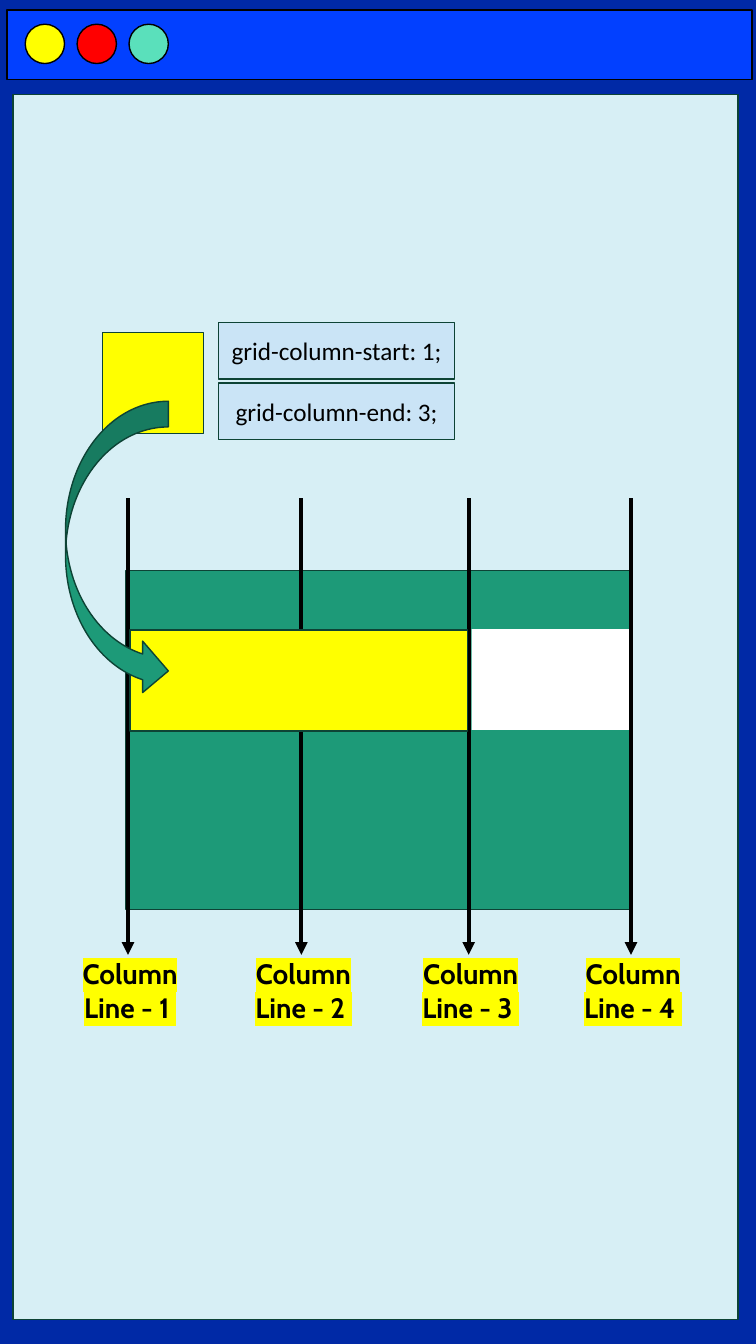
"""Build a portrait slide that explains grid-column-start and grid-column-end."""
from lxml import etree
from pptx import Presentation
from pptx.dml.color import RGBColor
from pptx.enum import shapes, text
from pptx.oxml import ns
from pptx.util import Inches, Pt

COLOURS = {
    "backdrop": "0029A6", "bar": "0240FF", "page": "D7EFF5", "code": "CAE4F6",
    "grid": "1D9A78", "edge": "0D4335", "yellow": "FFFF00", "red": "FF0000",
    "mint": "5AE0BB", "white": "FFFFFF", "black": "000000",
}
KIND = shapes.MSO_SHAPE
COLUMN_LINES = [1.27, 2.99, 4.65, 6.26]
LINE_TOP, LINE_BOTTOM = 4.94, 9.47
LABEL_WIDTH = 1.68


def colour(name):
    return RGBColor.from_string(COLOURS[name])


def add_block(parent, kind, box, fill, edge="edge"):
    block = parent.add_shape(kind, *map(Inches, box))
    block.shadow.inherit = False
    block.fill.solid()
    block.fill.fore_color.rgb = colour(fill)
    if edge:
        block.line.color.rgb = colour(edge)
        block.line.width = Pt(1)
    else:
        block.line.fill.background()
    return block


def write(holder, words, font_name, size, bold=False):
    frame = holder.text_frame
    frame.word_wrap = True
    frame.vertical_anchor = text.MSO_ANCHOR.MIDDLE
    paragraph = frame.paragraphs[0]
    paragraph.alignment = text.PP_ALIGN.CENTER
    run = paragraph.add_run()
    run.text = words
    font = paragraph.font
    font.name, font.size, font.bold = font_name, Pt(size), bold
    font.color.rgb = colour("black")
    return run


def highlight(run, name):
    mark = etree.SubElement(run.font._element, ns.qn("a:highlight"))
    etree.SubElement(mark, ns.qn("a:srgbClr"), val=COLOURS[name])


def add_column_line(parent, x, number):
    arrow = parent.add_connector(
        shapes.MSO_CONNECTOR.STRAIGHT,
        Inches(x), Inches(LINE_TOP), Inches(x), Inches(LINE_BOTTOM))
    arrow.line.color.rgb = colour("black")
    arrow.line.width = Pt(3)
    etree.SubElement(arrow.line._get_or_add_ln(), ns.qn("a:tailEnd"), type="triangle")
    etree.SubElement(arrow._element.spPr, ns.qn("a:effectLst"))

    label = parent.add_textbox(
        Inches(x + 0.02 - LABEL_WIDTH / 2), Inches(9.61), Inches(LABEL_WIDTH), Inches(0.43))
    highlight(write(label, f"Column Line - {number} ", "Cabin", 20, bold=True), "yellow")


def add_window(slide):
    title_bar = slide.shapes.add_group_shape().shapes
    add_block(title_bar, KIND.RECTANGLE, (0.07, 0.1, 7.39, 0.69), "bar", "black")
    for index, button in enumerate(["yellow", "red", "mint"]):
        add_block(title_bar, KIND.OVAL, (0.25 + 0.515 * index, 0.24, 0.39, 0.39), button, "black")
    add_block(slide.shapes, KIND.RECTANGLE, (0.13, 0.94, 7.19, 12.15), "page")


def add_code(slide):
    rules = slide.shapes.add_group_shape().shapes
    for index, rule in enumerate(["grid-column-start: 1;", "grid-column-end: 3;"]):
        box = add_block(rules, KIND.RECTANGLE, (2.17, 3.2 + 0.6 * index, 2.34, 0.56), "code")
        write(box, rule, "Calibri", 18)


def add_grid(slide):
    grid = slide.shapes.add_group_shape().shapes
    add_block(grid, KIND.RECTANGLE, (1.25, 5.66, 5.01, 3.36), "grid")
    for start, end in zip(COLUMN_LINES, COLUMN_LINES[1:]):
        add_block(grid, KIND.RECTANGLE, (start + 0.03, 6.24, end - start - 0.05, 1), "white", None)
    for number, x in enumerate(COLUMN_LINES, 1):
        add_column_line(grid, x, number)
    add_block(grid, KIND.RECTANGLE, (1.29, 6.25, 3.35, 1), "yellow")


def main():
    deck = Presentation()
    deck.slide_width, deck.slide_height = Inches(7.5), Inches(13.33)
    slide = deck.slides.add_slide(deck.slide_layouts[6])
    slide.background.fill.solid()
    slide.background.fill.fore_color.rgb = colour("backdrop")
    add_window(slide)
    add_code(slide)
    add_grid(slide)
    add_block(slide.shapes, KIND.RECTANGLE, (1.02, 3.3, 1, 1), "yellow")
    add_block(slide.shapes, KIND.CURVED_RIGHT_ARROW, (0.65, 3.98, 1.02, 2.93), "grid")
    deck.save("out.pptx")


if __name__ == "__main__":
    main()
